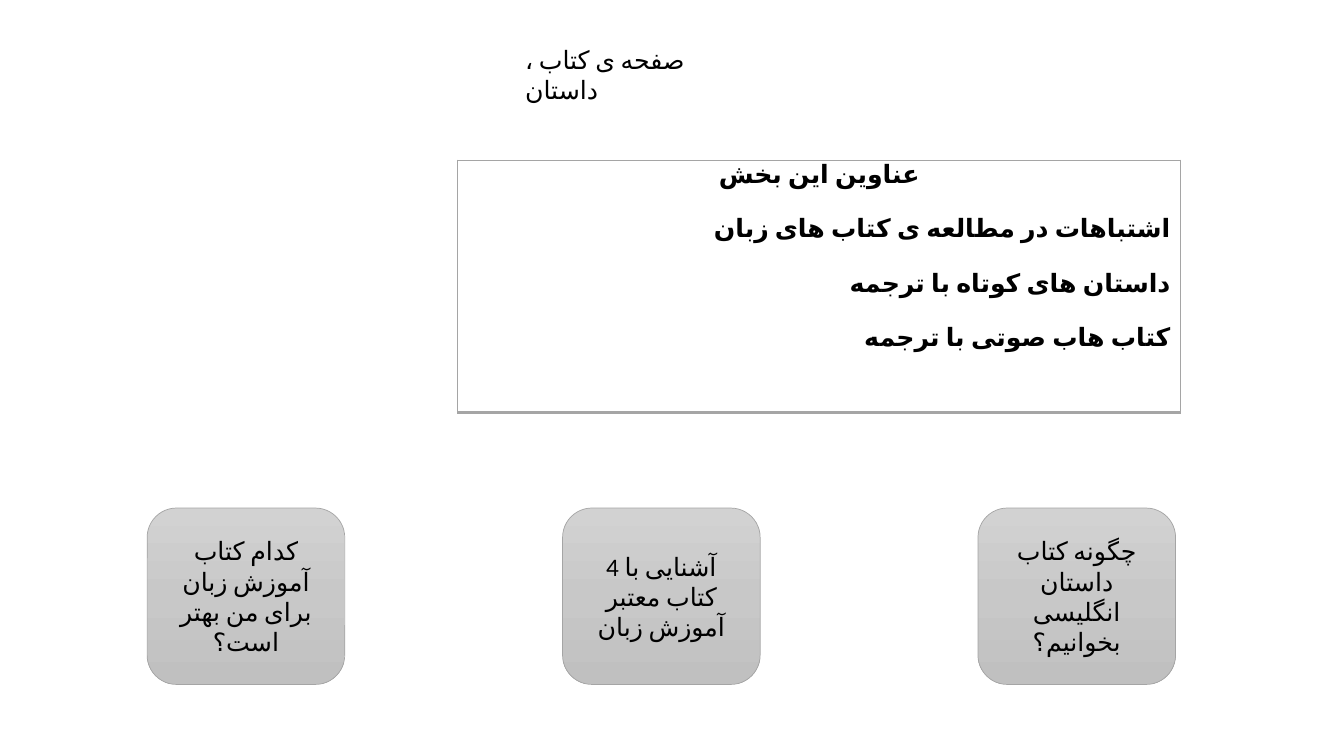
from copy import deepcopy

from lxml import etree
from pptx import Presentation
from pptx.dml.color import RGBColor
from pptx.enum.shapes import MSO_SHAPE
from pptx.enum.text import MSO_ANCHOR, PP_ALIGN
from pptx.oxml.ns import qn
from pptx.util import Inches, Pt

ROUND = MSO_SHAPE.ROUNDED_RECTANGLE
MIDDLE = MSO_ANCHOR.MIDDLE
CENTER, RIGHT = PP_ALIGN.CENTER, PP_ALIGN.RIGHT

COLORS = {"text": "000000", "line": "A5A5A5",
          "light": "D2D2D2", "mid": "C8C8C8", "dark": "C0C0C0"}


def rgb(name):
    return RGBColor.from_string(COLORS[name])


def add_run(para, text, font="Calibri", script="Calibri", bold=False):
    run = para.add_run()
    run.text = text
    run.font.name = font
    run.font.size = Pt(18)
    run.font.bold = bold
    run.font.color.rgb = rgb("text")
    # Persian letters take the complex-script font
    props = run._r.get_or_add_rPr()
    props.set("lang", "fa-IR")
    etree.SubElement(props, qn("a:cs"), typeface=script)


prs = Presentation()
prs.slide_width, prs.slide_height = Inches(13.33), Inches(7.5)
slide = prs.slides.add_slide(prs.slide_layouts[6])

# Topic table: one cell with a heading and three topics
table = slide.shapes.add_table(1, 1, Inches(4.54), Inches(1.59),
                               Inches(7.17), Inches(2.5)).table
table.first_row = table.horz_banding = False
cell = table.cell(0, 0)
cell.margin_top = cell.margin_bottom = 0
topics = [
    ("عناوین این بخش", "Times New Roman", CENTER),
    ("اشتباهات در مطالعه ی کتاب های زبان", "Roboto", RIGHT),
    ("داستان های کوتاه با ترجمه", "Roboto", RIGHT),
    ("کتاب هاب صوتی با ترجمه", "Roboto", RIGHT),
]
frame = cell.text_frame
for i, (text, font, align) in enumerate(topics):
    para = frame.add_paragraph() if i else frame.paragraphs[0]
    para.alignment = align
    para._p.get_or_add_pPr().set("rtl", "1")
    if i:
        para.space_before = Pt(17.6)
    add_run(para, text, font, "Roboto", True)

# Cell borders, thicker at the bottom
props = cell._tc.get_or_add_tcPr()
for side, width in (("L", 1), ("R", 1), ("T", 1), ("B", 2)):
    edge = etree.SubElement(props, qn(f"a:ln{side}"), w=str(Pt(width)))
    solid = etree.SubElement(edge, qn("a:solidFill"))
    etree.SubElement(solid, qn("a:srgbClr"), val=COLORS["line"])
cell.fill.background()

# Page title
title = slide.shapes.add_textbox(Inches(5.11), Inches(0.39),
                                 Inches(2.16), Inches(0.4))
title.text_frame.word_wrap = True
add_run(title.text_frame.paragraphs[0], "صفحه ی کتاب ، داستان")

# Row of question boxes
boxes = ["کدام کتاب آموزش زبان برای من بهتر است؟",
         "آشنایی با 4 کتاب معتبر آموزش زبان",
         "چگونه کتاب داستان انگلیسی بخوانیم؟"]
for i, text in enumerate(boxes):
    box = slide.shapes.add_shape(ROUND, Inches(1.46 + 4.12 * i), Inches(5.04),
                                 Inches(1.96), Inches(1.75))
    box.shadow.inherit = False
    box.line.color.rgb = rgb("line")
    box.line.width = Pt(0.5)

    # Three-stop gradient from top to bottom
    box.fill.gradient()
    box.fill.gradient_angle = 270
    stops = box._element.spPr.find(qn("a:gradFill")).find(qn("a:gsLst"))
    stops.insert(1, deepcopy(stops[0]))
    shades = zip(box.fill.gradient_stops, ("light", "mid", "dark"), (0, 0.5, 1))
    for stop, shade, place in shades:
        stop.color.rgb = rgb(shade)
        stop.position = place

    box.text_frame.word_wrap = True
    box.text_frame.vertical_anchor = MIDDLE
    para = box.text_frame.paragraphs[0]
    para.alignment = CENTER
    add_run(para, text)

prs.save("out.pptx")
